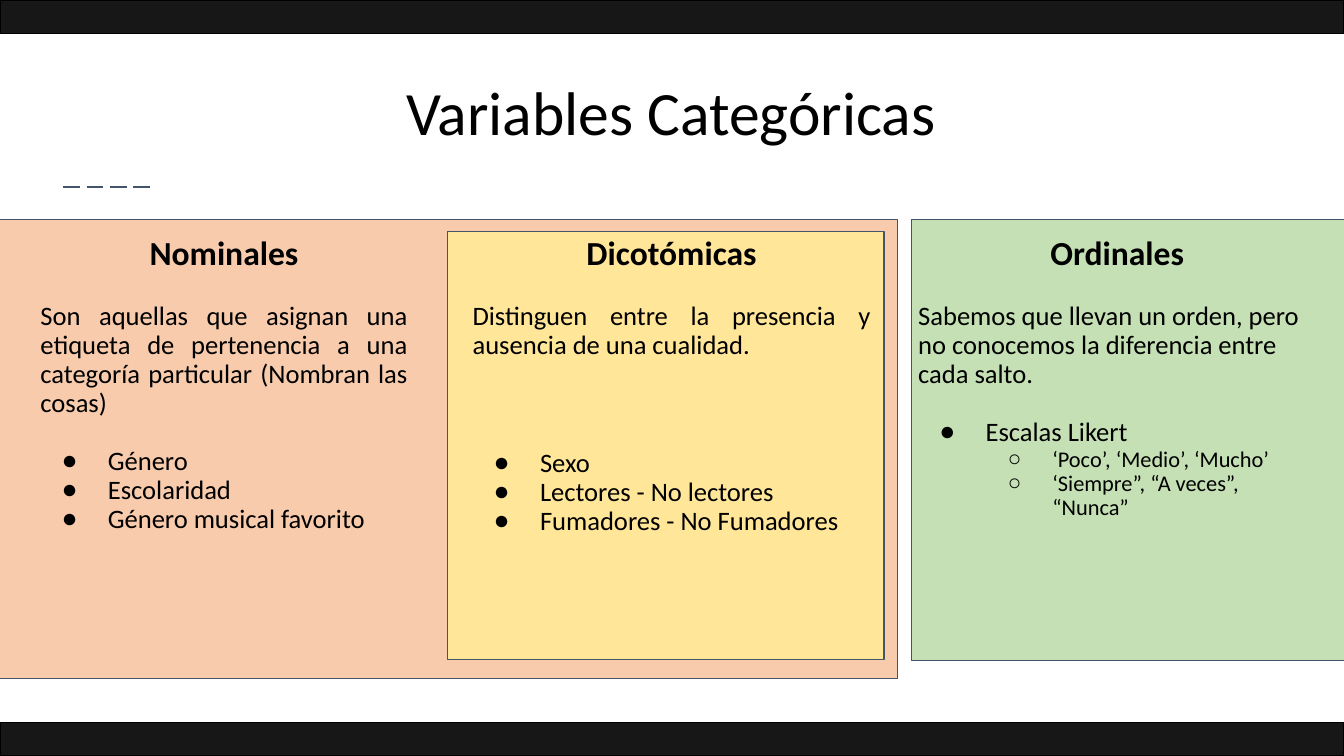
from dataclasses import dataclass

from lxml.etree import SubElement
from pptx import Presentation
from pptx.dml.color import RGBColor
from pptx.enum.dml import MSO_LINE
from pptx.enum.shapes import MSO_CONNECTOR, MSO_SHAPE
from pptx.enum.text import MSO_ANCHOR as Anchor, MSO_AUTO_SIZE as Fit, PP_ALIGN as Align
from pptx.oxml.ns import qn
from pptx.shapes.placeholder import SlidePlaceholder as Holder
from pptx.slide import Slide
from pptx.text.text import TextFrame
from pptx.util import Cm, Pt

WIDE, HIGH = 33.87, 19.05
BAR = 0.84
GAP = 21.3
FONT = "Calibri"


@dataclass
class Box:
    left: float
    top: float
    width: float
    height: float


@dataclass
class Panel:
    box: Box
    fill: str
    edge: str = "44546A"
    weight: float = 0.75


@dataclass
class Para:
    text: str
    size: float = 19
    bold: bool = False
    align: Align = Align.JUSTIFY
    before: float = 0
    mark: str = ""
    level: int = 0


@dataclass
class Column:
    slot: int
    left: float
    width: float
    paras: list[Para]


PANELS = [
    Panel(Box(22.96, 5.54, 13.44, 11.1), "C5E0B4"),
    Panel(Box(-1.93, 5.54, 24.54, 11.56), "F8CBAD"),
    Panel(Box(11.28, 5.84, 11, 10.77), "FFE699"),
]
BARS = [Panel(Box(0, top, WIDE, BAR), "181717", "000000", 1) for top in (0, HIGH - BAR)]


def head(text: str) -> Para:
    return Para(text, 24, True, Align.CENTER)


def item(text: str, before: float = 0, align: Align = Align.JUSTIFY) -> Para:
    return Para(text, align=align, before=before, mark="●")


def sub(text: str) -> Para:
    return Para(text, 16, align=Align.LEFT, mark="○", level=1)


COLUMNS = [
    Column(1, 0.69, 9.91, [
        head("Nominales"),
        Para("Son aquellas que asignan una etiqueta de pertenencia a una "
             "categoría particular (Nombran las cosas)", before=GAP),
        item("Género", GAP),
        item("Escolaridad"),
        item("Género musical favorito"),
    ]),
    Column(2, 11.58, 10.69, [
        head("Dicotómicas"),
        Para("Distinguen entre la presencia y ausencia de una cualidad.", before=GAP),
        item("Sexo", 3 * GAP),
        item("Lectores - No lectores"),
        item("Fumadores - No Fumadores"),
    ]),
    Column(3, 22.81, 10.69, [
        head("Ordinales"),
        Para("Sabemos que llevan un orden, pero no conocemos la diferencia "
             "entre cada salto.", align=Align.LEFT, before=GAP),
        item("Escalas Likert", GAP, Align.LEFT),
        sub("‘Poco’, ‘Medio’, ‘Mucho’"),
        sub("‘Siempre”, “A veces”, “Nunca”"),
    ]),
]


def color(code: str) -> RGBColor:
    return RGBColor.from_string(code)


def draw(slide: Slide, panel: Panel) -> None:
    box = panel.box
    shape = slide.shapes.add_shape(
        MSO_SHAPE.RECTANGLE, Cm(box.left), Cm(box.top), Cm(box.width), Cm(box.height))
    shape.shadow.inherit = False
    shape.fill.solid()
    shape.fill.fore_color.rgb = color(panel.fill)
    shape.line.color.rgb = color(panel.edge)
    shape.line.width = Pt(panel.weight)


def rule(slide: Slide) -> None:
    line = slide.shapes.add_connector(
        MSO_CONNECTOR.STRAIGHT, Cm(1.6), Cm(4.72), Cm(3.86), Cm(4.72))
    line.line.color.rgb = color("44546A")
    line.line.width = Pt(1.5)
    line.line.dash_style = MSO_LINE.LONG_DASH
    SubElement(line.element.spPr, qn("a:effectLst"))


def write(frame: TextFrame, paras: list[Para]) -> None:
    for pos, para in enumerate(paras):
        line = frame.add_paragraph() if pos else frame.paragraphs[0]
        line.level = para.level
        line.alignment = para.align
        line.line_spacing = 0.9
        line.space_before = Pt(para.before)
        line.space_after = Pt(0)
        props = line._p.get_or_add_pPr()
        left, hang = ((1.7, -1.17), (3.38, -1.12))[para.level] if para.mark else (0, 0)
        props.set("marL", str(Cm(left)))
        props.set("indent", str(Cm(hang)))
        if para.mark:
            SubElement(props, qn("a:buChar"), char=para.mark)
        else:
            SubElement(props, qn("a:buNone"))
        run = line.add_run()
        run.text = para.text
        run.font.name = FONT
        run.font.size = Pt(para.size)
        run.font.bold = para.bold
        run.font.color.rgb = color("000000")


def place(slide: Slide, holder: Holder, box: Box, anchor: Anchor, paras: list[Para]) -> None:
    slide.shapes.element.append(holder.element)
    holder.left, holder.top = Cm(box.left), Cm(box.top)
    holder.width, holder.height = Cm(box.width), Cm(box.height)
    frame = holder.text_frame
    frame.word_wrap = True
    frame.auto_size = Fit.NONE
    frame.vertical_anchor = anchor
    frame.margin_left = frame.margin_right = Cm(0.33)
    frame.margin_top = frame.margin_bottom = Cm(0.33)
    write(frame, paras)


def main() -> None:
    deck = Presentation()
    deck.slide_width, deck.slide_height = Cm(WIDE), Cm(HIGH)
    slide = deck.slides.add_slide(deck.slide_layouts[4])
    slots = {slot.placeholder_format.idx: slot for slot in slide.placeholders}
    rule(slide)
    for panel in PANELS:
        draw(slide, panel)
    place(slide, slots[0], Box(1.14, 1.37, 31.55, 2.72), Anchor.BOTTOM,
          [Para("Variables Categóricas", 44, align=Align.CENTER)])
    for col in COLUMNS:
        place(slide, slots[col.slot], Box(col.left, 5.64, col.width, 11.48),
              Anchor.TOP, col.paras)
    for bar in BARS:
        draw(slide, bar)
    slide.shapes.element.remove(slots[4].element)
    deck.save("out.pptx")


if __name__ == "__main__":
    main()
